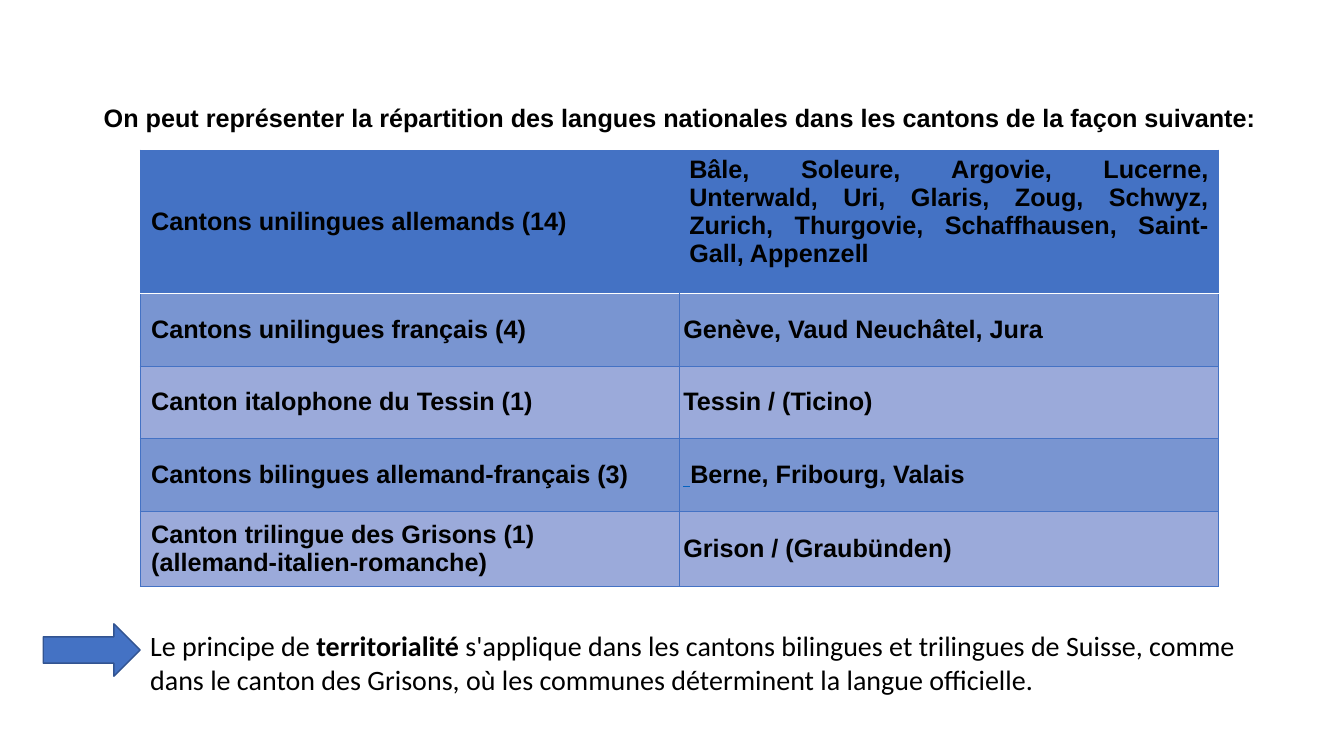
from dataclasses import dataclass

from lxml.etree import SubElement
from pptx import Presentation
from pptx.dml.color import RGBColor
from pptx.enum.shapes import MSO_SHAPE as Preset
from pptx.enum.text import MSO_ANCHOR as Anchor, MSO_AUTO_SIZE as AutoSize, PP_ALIGN as Align
from pptx.oxml.ns import qn
from pptx.util import Cm, Pt


@dataclass(frozen=True)
class Theme:
    blue: str = "4472C4"
    blue_dark: str = "325491"
    band_dark: str = "7995D1"
    band_light: str = "9BAADA"
    link: str = "0563C1"
    ink: str = "000000"
    paper: str = "FFFFFF"
    heading_font: str = "Arial"
    body_font: str = "Calibri"
    heading_size: int = 18
    body_size: int = 20


THEME = Theme()


@dataclass(frozen=True)
class Span:
    text: str
    bold: bool = True
    underline: bool = False
    color: str = THEME.ink
    font: str = THEME.heading_font
    size: int = THEME.heading_size


@dataclass(frozen=True)
class Box:
    left: float
    top: float
    width: float
    height: float

    def lengths(self) -> tuple:
        return Cm(self.left), Cm(self.top), Cm(self.width), Cm(self.height)


@dataclass(frozen=True)
class CantonGroup:
    label: tuple[str, ...]
    cantons: tuple[Span, ...]
    height: float
    fill: str


GROUPS = (
    CantonGroup(
        ("Cantons unilingues allemands (14)",),
        (Span("Bâle, Soleure, Argovie, Lucerne, Unterwald, Uri, Glaris, Zoug, Schwyz, "
              "Zurich, Thurgovie, Schaffhausen, Saint-Gall, Appenzell"),),
        3.61, THEME.blue),
    CantonGroup(("Cantons unilingues français (4)",),
                (Span("Genève, Vaud Neuchâtel, Jura"),), 1.83, THEME.band_dark),
    CantonGroup(("Canton italophone du Tessin (1)",),
                (Span("Tessin / (Ticino)"),), 1.83, THEME.band_light),
    CantonGroup(("Cantons bilingues allemand-français (3)",),
                (Span(" ", bold=False, underline=True, color=THEME.link),
                 Span("Berne, Fribourg, Valais")), 1.83, THEME.band_dark),
    CantonGroup(("Canton trilingue des Grisons (1)", "(allemand-italien-romanche)"),
                (Span("Grison / (Graubünden)"),), 1.9, THEME.band_light),
)
HEADING = Span("On peut représenter la répartition des langues nationales "
               "dans les cantons de la façon suivante:")
PRINCIPLE = tuple(
    Span(text, bold=bold, font=THEME.body_font, size=THEME.body_size)
    for text, bold in (
        ("Le principe de ", False),
        ("territorialité", True),
        (" s'applique dans les cantons bilingues et trilingues de Suisse, comme dans le "
         "canton des Grisons, où les communes déterminent la langue officielle.", False),
    )
)

HEADING_BOX = Box(2.36, 2.46, 30.15, 1.8)
TABLE_BOX = Box(3.53, 3.78, 27.18, 11)
PRINCIPLE_BOX = Box(3.53, 15.72, 28.14, 1.96)
ARROW_BOX = Box(1.09, 15.72, 2.44, 1.32)


def add_span(paragraph, span: Span) -> None:
    run = paragraph.add_run()
    run.text = span.text
    font = run.font
    font.name, font.size = span.font, Pt(span.size)
    font.bold, font.underline = span.bold, span.underline
    font.color.rgb = RGBColor.from_string(span.color)


def fill_placeholder(holder, box: Box, spans: tuple[Span, ...]) -> None:
    """Move a template placeholder and set it as plain, unbulleted text."""
    holder.left, holder.top, holder.width, holder.height = box.lengths()
    frame = holder.text_frame
    frame.word_wrap = True
    frame.auto_size = AutoSize.NONE
    frame.vertical_anchor = Anchor.TOP
    paragraph = frame.paragraphs[0]
    paragraph.alignment = Align.LEFT
    paragraph.space_before = Pt(0)
    properties = paragraph._p.get_or_add_pPr()
    properties.set("marL", "0")
    properties.set("indent", "0")
    SubElement(properties, qn("a:buNone"))
    for span in spans:
        add_span(paragraph, span)


def add_border(cell, side: str, color: str | None, width: float) -> None:
    line = SubElement(cell._tc.get_or_add_tcPr(), qn(f"a:ln{side}"), w=str(Pt(width)))
    if color is None:
        SubElement(line, qn("a:noFill"))
    else:
        SubElement(SubElement(line, qn("a:solidFill")), qn("a:srgbClr"), val=color)


def style_cell(cell, row: int, column: int, fill: str) -> None:
    thin, rule, none = (THEME.blue, 0.5), (THEME.paper, 1), (None, 0.5)
    is_header = row == 0
    borders = {
        "L": none if is_header and column == 1 else thin,
        "R": none if is_header and column == 0 else thin,
        "T": rule if row == 1 else thin,
        "B": rule if is_header else thin,
    }
    for side, (color, width) in borders.items():
        add_border(cell, side, color, width)
    cell.fill.solid()
    cell.fill.fore_color.rgb = RGBColor.from_string(fill)
    cell.vertical_anchor = Anchor.MIDDLE
    cell.margin_left = Cm(0.28 if column == 0 else 0.1)
    cell.margin_right = cell.margin_top = cell.margin_bottom = Cm(0.1)


def add_canton_table(slide) -> None:
    table = slide.shapes.add_table(len(GROUPS), 2, *TABLE_BOX.lengths()).table
    for column in table.columns:
        column.width = Cm(TABLE_BOX.width / 2)
    for row, group in enumerate(GROUPS):
        table.rows[row].height = Cm(group.height)
        label_cell, cantons_cell = table.cell(row, 0), table.cell(row, 1)
        style_cell(label_cell, row, 0, group.fill)
        style_cell(cantons_cell, row, 1, group.fill)
        label = label_cell.text_frame.paragraphs[0]
        for number, line in enumerate(group.label):
            if number:
                label.add_line_break()
            add_span(label, Span(line))
        for span in group.cantons:
            add_span(cantons_cell.text_frame.paragraphs[0], span)

    german_cantons = table.cell(0, 1)
    german_cantons.vertical_anchor = Anchor.TOP
    german_cantons.margin_left = german_cantons.margin_right = Cm(0.25)
    german_cantons.margin_top = german_cantons.margin_bottom = Cm(0.13)
    german_cantons.text_frame.paragraphs[0].alignment = Align.JUSTIFY


def add_arrow(slide) -> None:
    arrow = slide.shapes.add_shape(Preset.RIGHT_ARROW, *ARROW_BOX.lengths())
    arrow.shadow.inherit = False
    arrow.fill.solid()
    arrow.fill.fore_color.rgb = RGBColor.from_string(THEME.blue)
    arrow.line.color.rgb = RGBColor.from_string(THEME.blue_dark)
    arrow.line.width = Pt(1)


def main() -> None:
    deck = Presentation()
    deck.slide_width, deck.slide_height = Cm(33.87), Cm(19.05)
    slide = deck.slides.add_slide(deck.slide_layouts[1])
    add_canton_table(slide)
    fill_placeholder(slide.shapes.title, HEADING_BOX, (HEADING,))
    fill_placeholder(slide.placeholders[1], PRINCIPLE_BOX, PRINCIPLE)
    add_arrow(slide)
    deck.save("out.pptx")


if __name__ == "__main__":
    main()
